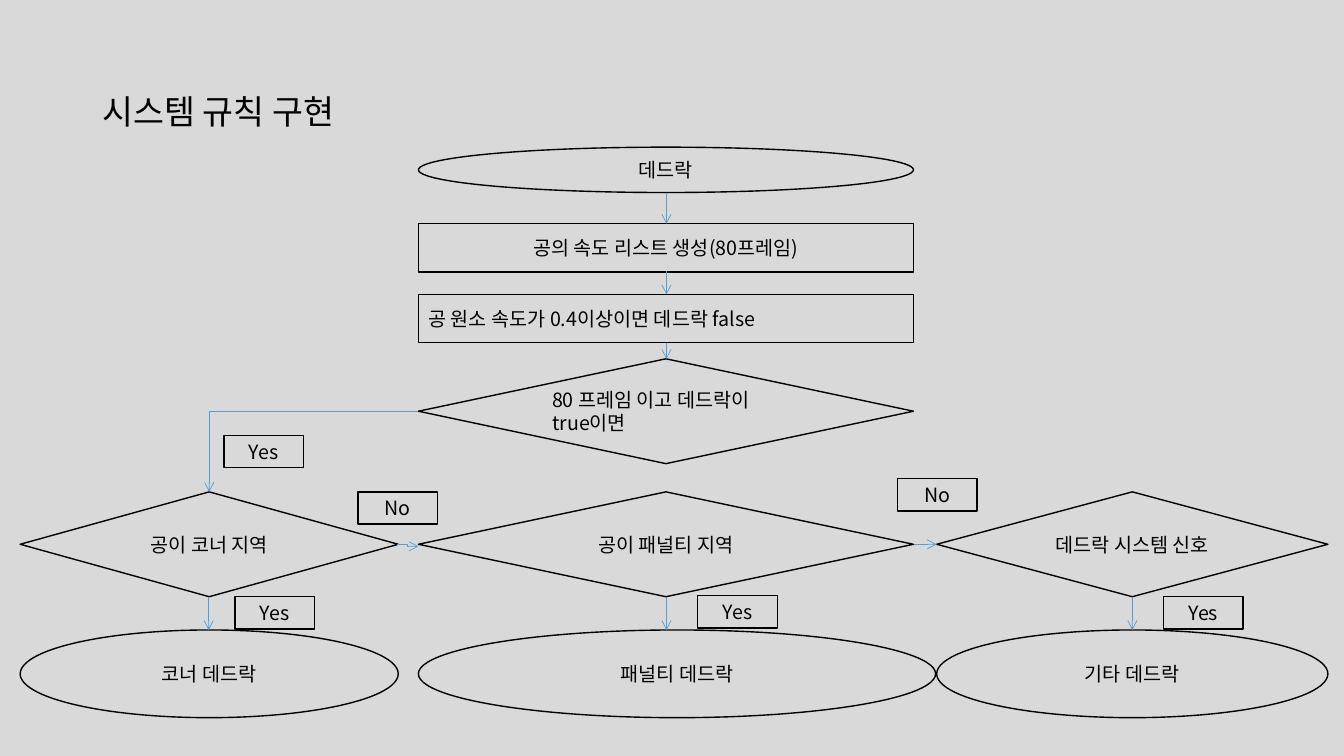
from pptx import Presentation
from pptx.dml.color import RGBColor as Rgb
from pptx.enum.shapes import MSO_CONNECTOR as Link, MSO_SHAPE as Kind
from pptx.enum.text import MSO_ANCHOR as Anchor, PP_ALIGN as Align
from pptx.oxml.ns import qn
from pptx.util import Inches, Pt
from lxml.etree import SubElement as Sub

theme = {
    "font": "Noto Sans CJK KR",
    "back": Rgb.from_string("D9D9D9"),
    "ink": Rgb.from_string("000000"),
    "arrow": Rgb.from_string("5B9BD5"),
    "title": Pt(24),
    "body": Pt(14),
    "edge": Pt(1),
    "thin": Pt(0.5),
}

deck = Presentation()
deck.slide_width, deck.slide_height = Inches(13.33), Inches(7.5)
slide = deck.slides.add_slide(deck.slide_layouts[6])
slide.background.fill.solid()
slide.background.fill.fore_color.rgb = theme["back"]


def write(shape, text, size, align):
    frame = shape.text_frame
    frame.word_wrap = True
    frame.vertical_anchor = Anchor.MIDDLE
    para = frame.paragraphs[0]
    para.alignment = align
    run = para.add_run()
    run.text = text
    run.font.size = size
    run.font.name = theme["font"]
    run.font.color.rgb = theme["ink"]
    Sub(run.font._element, qn("a:ea"), typeface=theme["font"])
    return para


def node(kind, left, top, width, height, text, align=Align.CENTER):
    shape = slide.shapes.add_shape(
        kind, Inches(left), Inches(top), Inches(width), Inches(height))
    shape.shadow.inherit = False
    shape.fill.solid()
    shape.fill.fore_color.rgb = theme["back"]
    shape.line.color.rgb = theme["ink"]
    shape.line.width = theme["edge"]
    write(shape, text, theme["body"], align)
    return shape


title = slide.shapes.add_textbox(Inches(0.92), Inches(0.4), Inches(11.5), Inches(1.45))
write(title, "시스템 규칙 구현", theme["title"], Align.LEFT).line_spacing = 0.9

mid, wide = 4.15, 4.91
node(Kind.OVAL, mid, 1.46, wide, 0.45, "데드락")
node(Kind.RECTANGLE, mid, 2.22, wide, 0.48, "공의 속도 리스트 생성(80프레임)")
node(Kind.RECTANGLE, mid, 2.92, wide, 0.48,
     "공 원소 속도가 0.4이상이면 데드락 false", Align.LEFT)
check = node(Kind.DIAMOND, mid, 3.56, wide, 1.04,
             "80 프레임 이고 데드락이 true이면", Align.LEFT)

zones = [
    (0.2, 3.75, 3.75, "공이 코너 지역", "코너 데드락"),
    (mid, wide, 5.13, "공이 패널티 지역", "패널티 데드락"),
    (9.29, 3.88, 3.88, "데드락 시스템 신호", "기타 데드락"),
]
tests = []
for left, width, span, ask, result in zones:
    tests.append(node(Kind.DIAMOND, left, 4.88, width, 1.04, ask))
    node(Kind.OVAL, left, 6.25, span, 0.87, result)

axis = 6.61
arrows = [
    (Link.ELBOW, mid, 4.08, 2.07, 4.88),
    (Link.ELBOW, 3.94, 5.4, mid, 5.42),
    (Link.STRAIGHT, 9.07, 5.4, 9.29, 5.4),
]
for start, end in [(1.91, 2.22), (2.69, 2.92), (3.4, 3.56)]:
    arrows.append((Link.STRAIGHT, axis, start, axis, end))
for x in (2.07, axis, 11.23):
    arrows.append((Link.STRAIGHT, x, 5.92, x, 6.25))

links = []
for kind, *ends in arrows:
    link = slide.shapes.add_connector(kind, *map(Inches, ends))
    link.line.color.rgb = theme["arrow"]
    link.line.width = theme["thin"]
    Sub(link.line._get_or_add_ln(), qn("a:tailEnd"), type="arrow")
    Sub(link._element.spPr, qn("a:effectLst"))
    links.append(link)

turn = links[0]
turn._element.spPr.find(qn("a:prstGeom")).set("prst", "bentConnector2")
turn.begin_connect(check, 1)
turn.end_connect(tests[0], 0)

tags = [
    (2.33, 5.92, "Yes"), (6.92, 5.91, "Yes"), (11.54, 5.92, "Yes"),
    (2.22, 4.32, "Yes"), (3.55, 4.88, "No"), (8.9, 4.75, "No"),
]
for left, top, text in tags:
    node(Kind.RECTANGLE, left, top, 0.79, 0.32, text)

deck.save("out.pptx")
